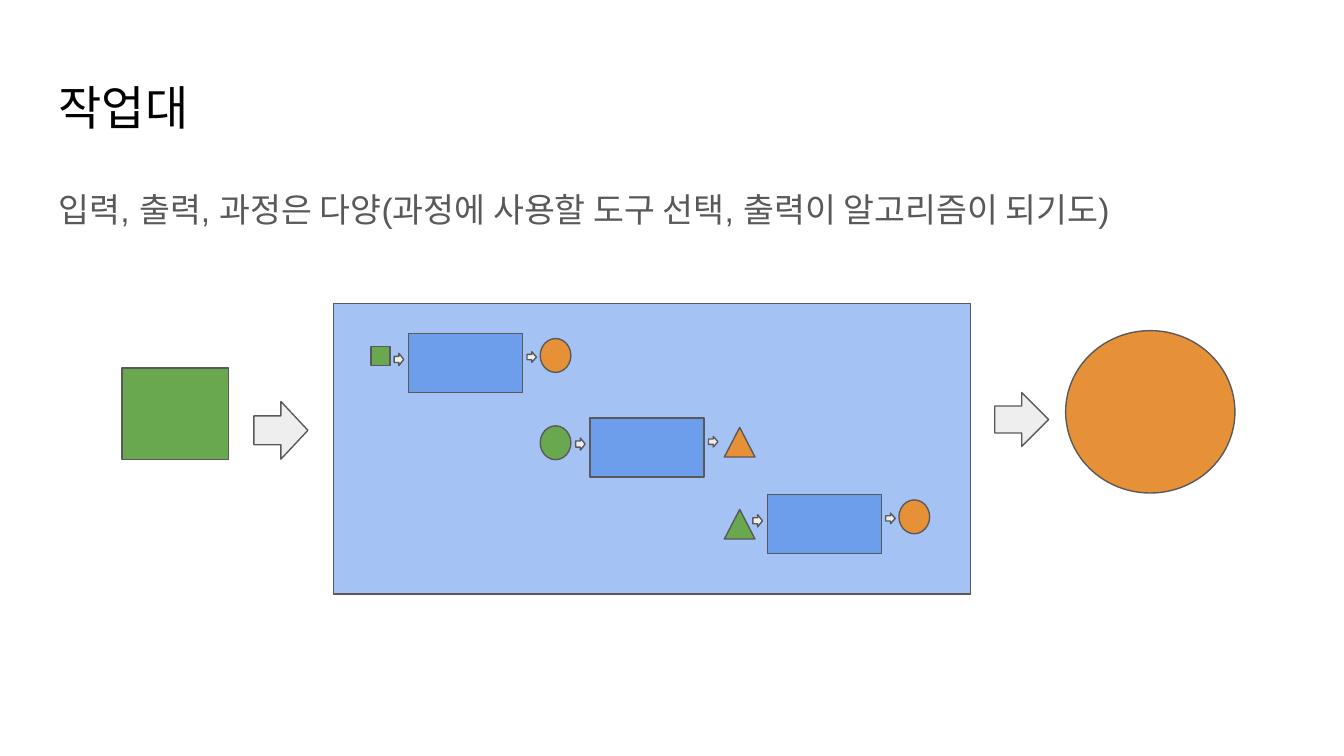
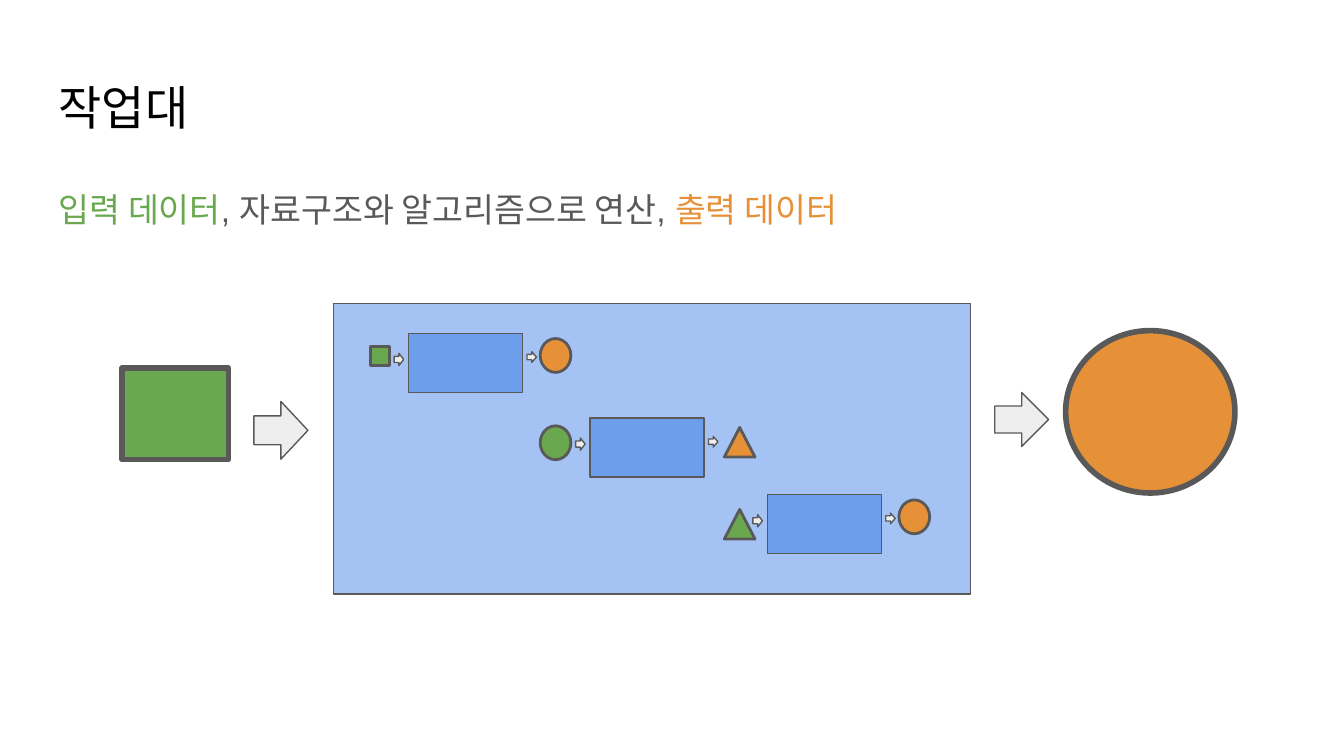
from dataclasses import dataclass
from typing import NamedTuple

from pptx import Presentation
from pptx.dml.color import RGBColor
from pptx.enum.shapes import MSO_SHAPE
from pptx.enum.text import MSO_ANCHOR
from pptx.util import Cm, Pt

BLACK, GRAY, PALE = "000000", "595959", "EEEEEE"
GREEN, ORANGE = "6AA84F", "E69138"
BENCH_BLUE, TOOL_BLUE = "A4C2F4", "6D9EEB"
THIN = 0.75

FRAME_FORMAT = {
    "word_wrap": True,
    "vertical_anchor": MSO_ANCHOR.TOP,
    "margin_left": Cm(0.25),
    "margin_right": Cm(0.25),
    "margin_top": Cm(0.25),
    "margin_bottom": Cm(0.25),
}
TITLE_FONT = {"name": "Arial", "size": Pt(25.2)}
BODY_FONT = {"name": "Arial", "size": Pt(18)}
BODY_PARAGRAPH = {"line_spacing": 1.15, "space_after": Pt(12)}


class Box(NamedTuple):
    """Left, top, width and height in centimetres."""
    x: float
    y: float
    w: float
    h: float

    def shifted(self, dx: float, dy: float) -> "Box":
        return Box(self.x + dx, self.y + dy, self.w, self.h)

    def lengths(self) -> list:
        return [Cm(v) for v in self]


class Run(NamedTuple):
    text: str
    color: str


@dataclass(frozen=True)
class Item:
    kind: MSO_SHAPE
    box: Box


@dataclass(frozen=True)
class Step:
    """A tool at x, y with its input and output placed relative to it."""
    x: float
    y: float
    source: Item
    result: Item


@dataclass(frozen=True)
class Page:
    body: list[Run]
    outer_line: float
    inner_line: float


TITLE_BOX = Box(0.86, 1.24, 23.67, 1.6)
BODY_BOX = Box(0.86, 3.2, 23.67, 9.5)

BENCH = Box(6.3, 5.74, 12.04, 5.49)
INPUT = Box(2.31, 6.96, 2.01, 1.73)
OUTPUT = Box(20.14, 6.25, 3.2, 3.07)
ARROWS = [Box(4.8, 7.59, 1.02, 1.09), Box(18.8, 7.42, 1.02, 1.02)]

TOOL = Box(0, 0, 2.16, 1.12)
STEP_ARROWS = [Box(-0.27, 0.38, 0.18, 0.23), Box(2.24, 0.35, 0.18, 0.2)]
CIRCLE_RESULT = Item(MSO_SHAPE.OVAL, Box(2.49, 0.1, 0.58, 0.64))
STEPS = [
    Step(7.72, 6.3, Item(MSO_SHAPE.RECTANGLE, Box(-0.71, 0.25, 0.36, 0.36)),
         CIRCLE_RESULT),
    Step(11.15, 7.9, Item(MSO_SHAPE.OVAL, Box(-0.94, 0.15, 0.58, 0.64)),
         Item(MSO_SHAPE.ISOSCELES_TRIANGLE, Box(2.54, 0.18, 0.58, 0.56))),
    Step(14.5, 9.35,
         Item(MSO_SHAPE.ISOSCELES_TRIANGLE, Box(-0.81, 0.28, 0.58, 0.56)),
         CIRCLE_RESULT),
]

TITLE = [Run("작업대", BLACK)]
PAGES = [
    Page([Run("입력, 출력, 과정은 다양(과정에 사용할 도구 선택, 출력이 알고리즘이 되기도)", GRAY)],
         THIN, THIN),
    Page([Run("입력 데이터", GREEN),
          Run(", 자료구조와 알고리즘으로 연산, ", GRAY),
          Run("출력 데이터", ORANGE)],
         3, 1.5),
]


def rgb(color: str) -> RGBColor:
    return RGBColor.from_string(color)


def apply(target, values: dict) -> None:
    for name, value in values.items():
        setattr(target, name, value)


def add_text(slide, box: Box, runs: list[Run], font: dict,
             paragraph: dict) -> None:
    tf = slide.shapes.add_textbox(*box.lengths()).text_frame
    apply(tf, FRAME_FORMAT)
    p = tf.paragraphs[0]
    apply(p, paragraph)
    for text, color in runs:
        r = p.add_run()
        r.text = text
        apply(r.font, font)
        r.font.color.rgb = rgb(color)


def add_figure(slide, kind: MSO_SHAPE, box: Box, fill: str,
               line: float = THIN) -> None:
    sp = slide.shapes.add_shape(kind, *box.lengths())
    sp.shadow.inherit = False
    sp.fill.solid()
    sp.fill.fore_color.rgb = rgb(fill)
    sp.line.color.rgb = rgb(GRAY)
    sp.line.width = Pt(line)


def add_arrows(slide, boxes: list[Box], dx: float = 0, dy: float = 0) -> None:
    for box in boxes:
        add_figure(slide, MSO_SHAPE.RIGHT_ARROW, box.shifted(dx, dy), PALE)


def add_step(slide, step: Step, line: float) -> None:
    add_figure(slide, MSO_SHAPE.RECTANGLE, TOOL.shifted(step.x, step.y),
               TOOL_BLUE)
    add_arrows(slide, STEP_ARROWS, step.x, step.y)
    for item, fill in ((step.source, GREEN), (step.result, ORANGE)):
        add_figure(slide, item.kind, item.box.shifted(step.x, step.y), fill,
                   line)


def add_page(prs, page: Page) -> None:
    slide = prs.slides.add_slide(prs.slide_layouts[6])
    add_text(slide, TITLE_BOX, TITLE, TITLE_FONT, {})
    add_text(slide, BODY_BOX, page.body, BODY_FONT, BODY_PARAGRAPH)
    add_figure(slide, MSO_SHAPE.RECTANGLE, BENCH, BENCH_BLUE)
    add_figure(slide, MSO_SHAPE.OVAL, OUTPUT, ORANGE, page.outer_line)
    add_figure(slide, MSO_SHAPE.RECTANGLE, INPUT, GREEN, page.outer_line)
    add_arrows(slide, ARROWS)
    for step in STEPS:
        add_step(slide, step, page.inner_line)


def main() -> None:
    prs = Presentation()
    prs.slide_width, prs.slide_height = Cm(25.4), Cm(14.29)
    for page in PAGES:
        add_page(prs, page)
    prs.save("out.pptx")


if __name__ == "__main__":
    main()
